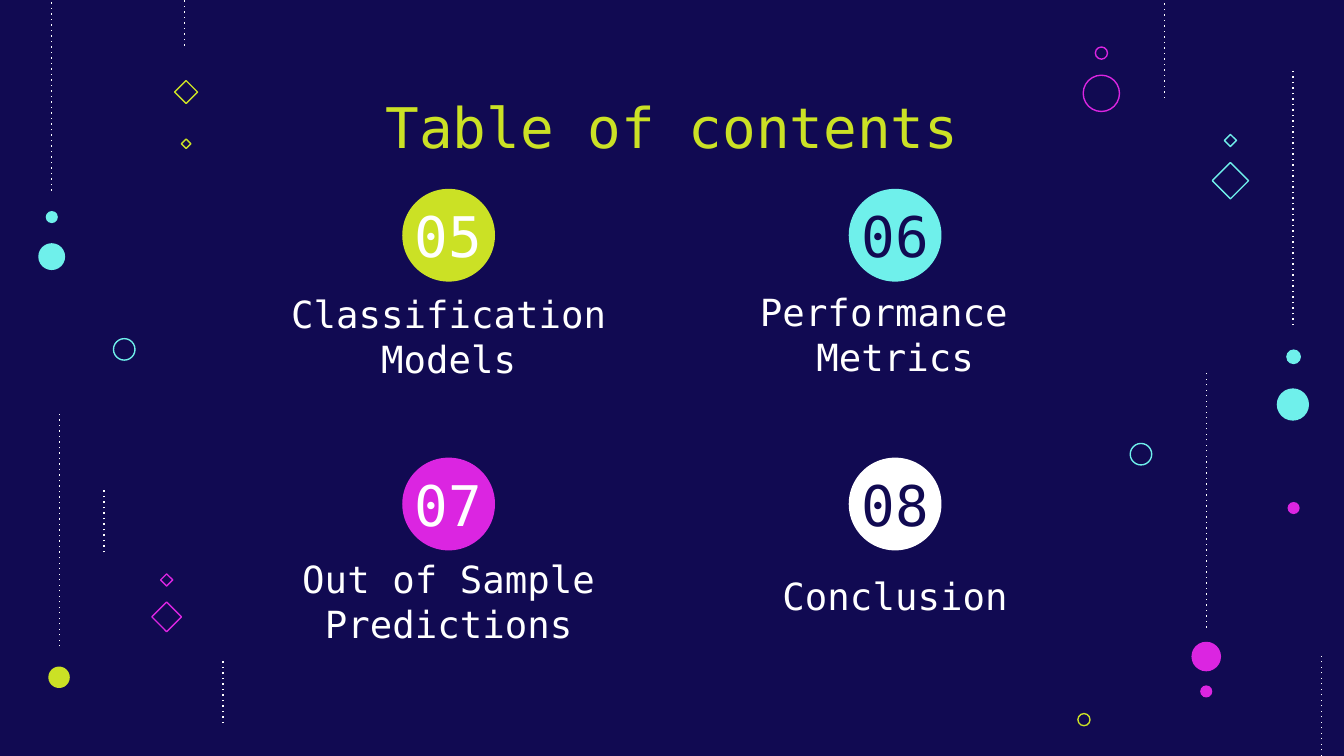
from dataclasses import dataclass

from lxml import etree
from pptx import Presentation
from pptx.dml.color import RGBColor
from pptx.enum.shapes import MSO_CONNECTOR, MSO_SHAPE
from pptx.enum.text import MSO_ANCHOR, MSO_AUTO_SIZE, PP_ALIGN
from pptx.oxml.ns import qn
from pptx.util import Inches, Pt

CIRCLE, DIAMOND = MSO_SHAPE.OVAL, MSO_SHAPE.DIAMOND
STRAIGHT = MSO_CONNECTOR.STRAIGHT
TOP, MIDDLE, BOTTOM = MSO_ANCHOR.TOP, MSO_ANCHOR.MIDDLE, MSO_ANCHOR.BOTTOM
CENTER, NO_FIT = PP_ALIGN.CENTER, MSO_AUTO_SIZE.NONE
TITLE_ONLY = 5

COLUMNS, ROWS = 100, 56.25
UNIT = Inches(10) / COLUMNS


@dataclass(frozen=True)
class Theme:
    font: str = "DejaVu Sans Mono"
    navy: str = "110A52"
    lime: str = "CBE125"
    aqua: str = "6FF0EB"
    pink: str = "DB25E1"
    white: str = "FFFFFF"
    heading: int = 30
    caption: int = 20
    stroke: float = 0.75


THEME = Theme()

TOPIC_COLUMNS = (33.38, 66.6)
TOPIC_ROWS = (17.5, 37.5)
DISC_SIZE = 6.9
NUMBER_SIZE = (11.3, 4.8)
CAPTION_HEIGHT = 4.8
FIRST_NUMBER = 5

TOPICS = [
    ("Classification Models", THEME.lime, THEME.white, 27.9, 29.35),
    ("Performance \nMetrics", THEME.aqua, THEME.navy, 35.5, 29.2),
    ("Out of Sample Predictions", THEME.pink, THEME.white, 27.9, 49.05),
    ("Conclusion", THEME.white, THEME.navy, 29.7, 47),
]

DOTS = [
    (96.25, 26.55, 1.1, THEME.aqua), (96.2, 30.1, 2.4, THEME.aqua),
    (3.85, 16.15, 0.9, THEME.aqua), (3.85, 19.1, 2, THEME.aqua),
    (4.4, 50.4, 1.6, THEME.lime), (89.75, 48.85, 2.2, THEME.pink),
    (89.75, 51.45, 0.9, THEME.pink), (96.25, 37.8, 0.9, THEME.pink),
]
RINGS = [
    (81.95, 3.95, 0.9, THEME.pink), (81.95, 6.95, 2.7, THEME.pink),
    (84.9, 33.8, 1.6, THEME.aqua), (9.25, 26, 1.6, THEME.aqua),
    (80.65, 53.55, 0.9, THEME.lime),
]
DIAMONDS = [
    (91.55, 13.45, 2.7, THEME.aqua), (91.55, 10.45, 0.9, THEME.aqua),
    (13.85, 6.85, 1.7, THEME.lime), (13.85, 10.7, 0.7, THEME.lime),
    (12.4, 43.15, 0.9, THEME.pink), (12.4, 45.9, 2.2, THEME.pink),
]
TRAILS = [
    (96.2, 24.2, 5.2), (4.45, 48.1, 30.6), (3.85, 14.2, 0),
    (86.65, 7.3, 0), (13.75, 3.4, 0), (16.6, 53.8, 49),
    (7.75, 41.1, 36.3), (98.35, ROWS, 48.6), (89.75, 46.7, 27.7),
]


def grid(*steps):
    return [round(step * UNIT) for step in steps]


def centered(x, y, width, height):
    return grid(x - width / 2, y - height / 2, width, height)


def color(value):
    return RGBColor.from_string(value)


def apply(target, values):
    for name, value in values.items():
        setattr(target, name, value)


def add_mark(slide, kind, x, y, size, tint, filled):
    mark = slide.shapes.add_shape(kind, *centered(x, y, size, size))
    mark.shadow.inherit = False
    if filled:
        mark.fill.solid()
        mark.fill.fore_color.rgb = color(tint)
        mark.line.fill.background()
    else:
        mark.fill.background()
        mark.line.color.rgb = color(tint)
        mark.line.width = Pt(THEME.stroke)


def add_trail(slide, x, start, end):
    trail = slide.shapes.add_connector(STRAIGHT, *grid(x, start, x, end))
    trail.line.color.rgb = color(THEME.white)
    trail.line.width = Pt(THEME.stroke)
    properties = trail.element.spPr
    outline = properties.find(qn("a:ln"))
    etree.SubElement(outline, qn("a:prstDash")).set("val", "dot")
    etree.SubElement(properties, qn("a:effectLst"))


def write_text(box, text, size, tint, anchor):
    frame = box.text_frame
    margins = ("margin_left", "margin_top", "margin_right", "margin_bottom")
    apply(frame, dict.fromkeys(margins, Inches(0.1)))
    apply(frame, {"text": text, "word_wrap": True, "auto_size": NO_FIT,
                  "vertical_anchor": anchor})
    for para in frame.paragraphs:
        para.alignment = CENTER
        for span in para.runs:
            apply(span.font, {"name": THEME.font, "size": Pt(size)})
            span.font.color.rgb = color(tint)


def add_title(slide, text):
    title = slide.shapes.title
    left, top, width, height = grid(21.3, 5.9, 57.4, 5.2)
    apply(title, {"left": left, "top": top, "width": width, "height": height})
    write_text(title, text, THEME.heading, THEME.lime, TOP)


def add_topic(slide, index, topic):
    text, disc_tint, number_tint, width, bottom = topic
    row, column = divmod(index, len(TOPIC_COLUMNS))
    x, y = TOPIC_COLUMNS[column], TOPIC_ROWS[row]
    add_mark(slide, CIRCLE, x, y, DISC_SIZE, disc_tint, True)
    number = slide.shapes.add_textbox(*centered(x, y, *NUMBER_SIZE))
    write_text(number, f"{FIRST_NUMBER + index:02d}", THEME.heading,
               number_tint, MIDDLE)
    caption = slide.shapes.add_textbox(
        *centered(x, bottom - CAPTION_HEIGHT / 2, width, CAPTION_HEIGHT))
    write_text(caption, text, THEME.caption, THEME.white, BOTTOM)


def add_ornaments(slide):
    for kind, marks, filled in ((CIRCLE, DOTS, True), (CIRCLE, RINGS, False),
                                (DIAMOND, DIAMONDS, False)):
        for mark in marks:
            add_mark(slide, kind, *mark, filled)
    for trail in TRAILS:
        add_trail(slide, *trail)


def main():
    deck = Presentation()
    deck.slide_width, deck.slide_height = grid(COLUMNS, ROWS)
    page = deck.slides.add_slide(deck.slide_layouts[TITLE_ONLY])
    page.background.fill.solid()
    page.background.fill.fore_color.rgb = color(THEME.navy)
    add_ornaments(page)
    add_title(page, "Table of contents")
    for index, topic in enumerate(TOPICS):
        add_topic(page, index, topic)
    deck.save("out.pptx")


if __name__ == "__main__":
    main()
